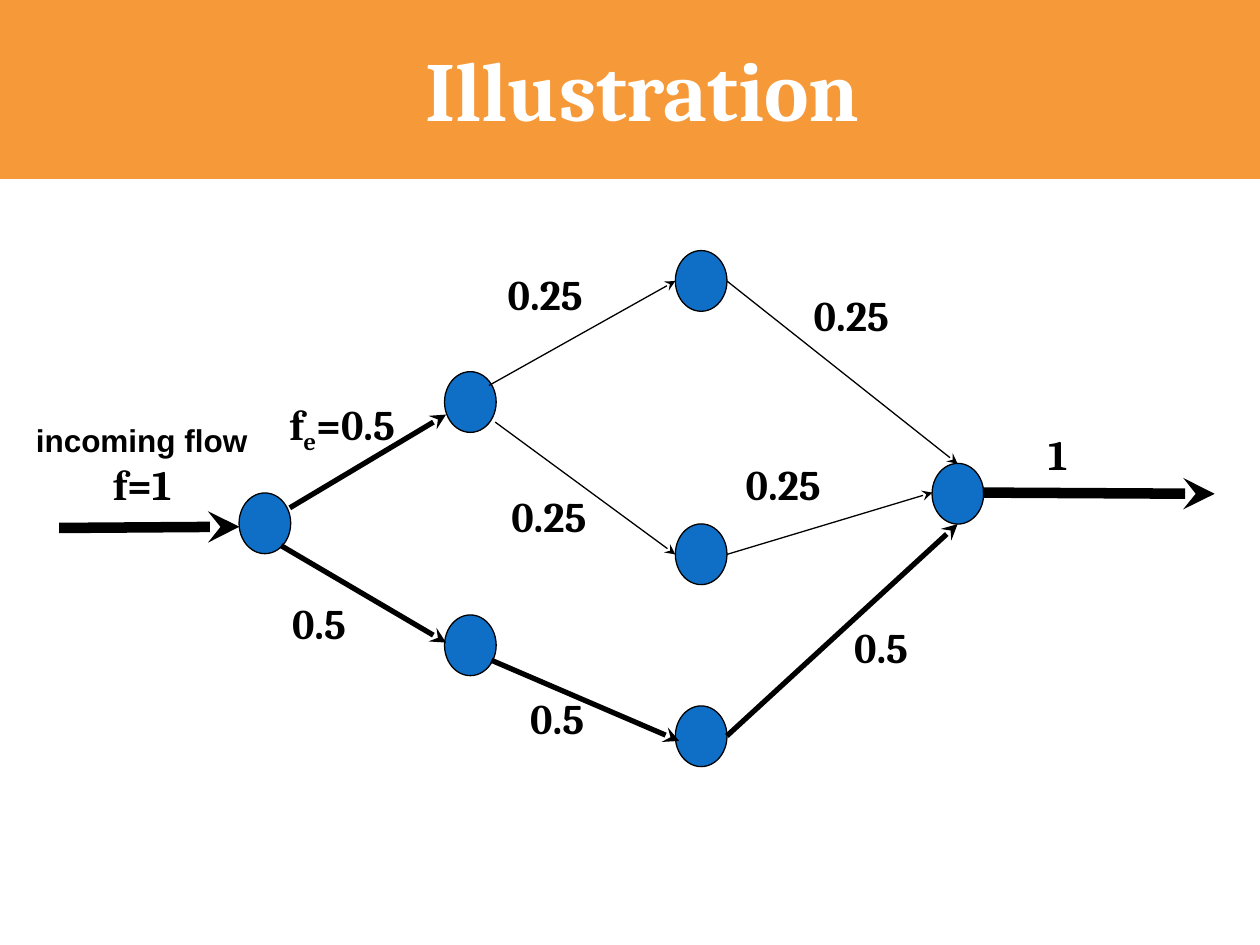
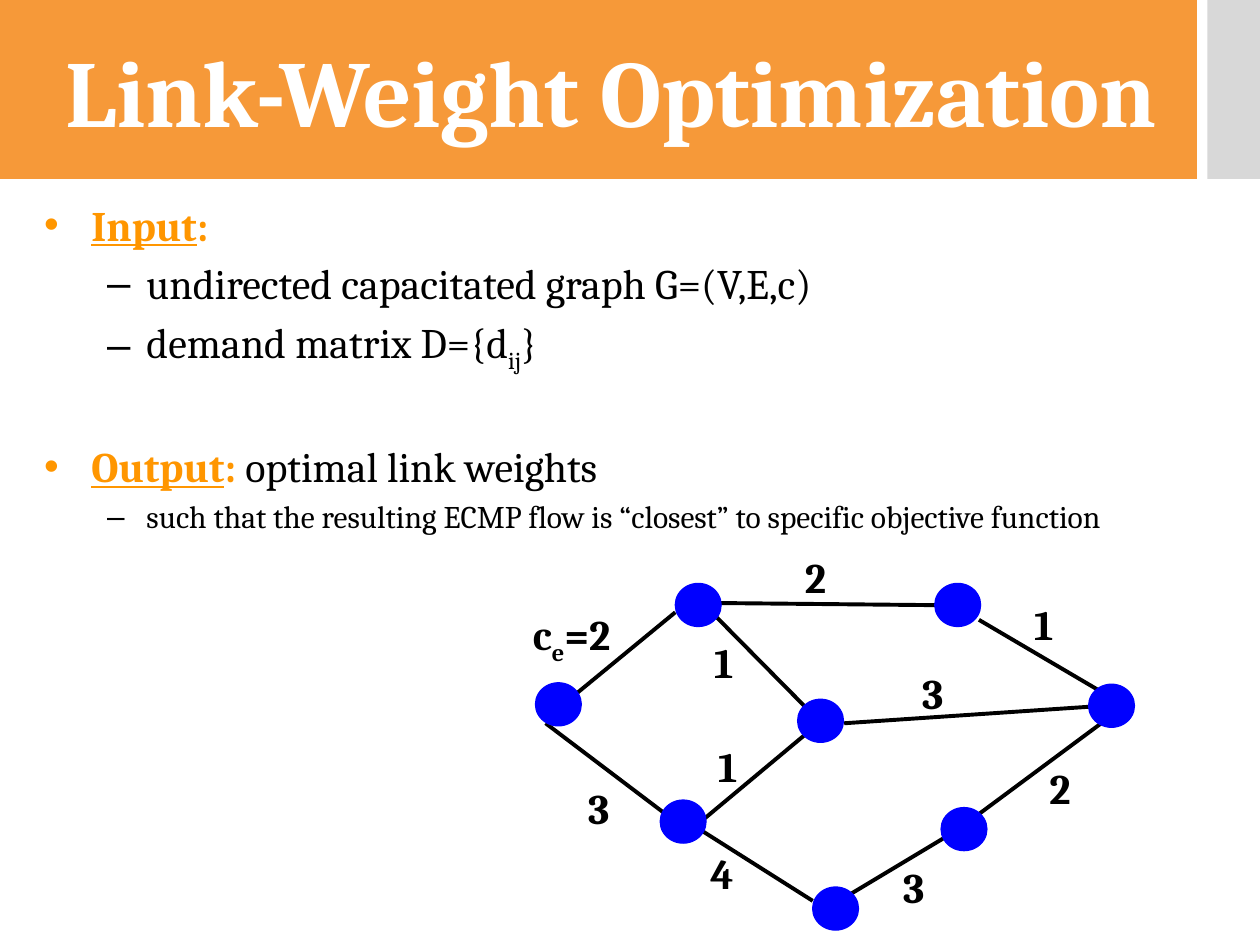
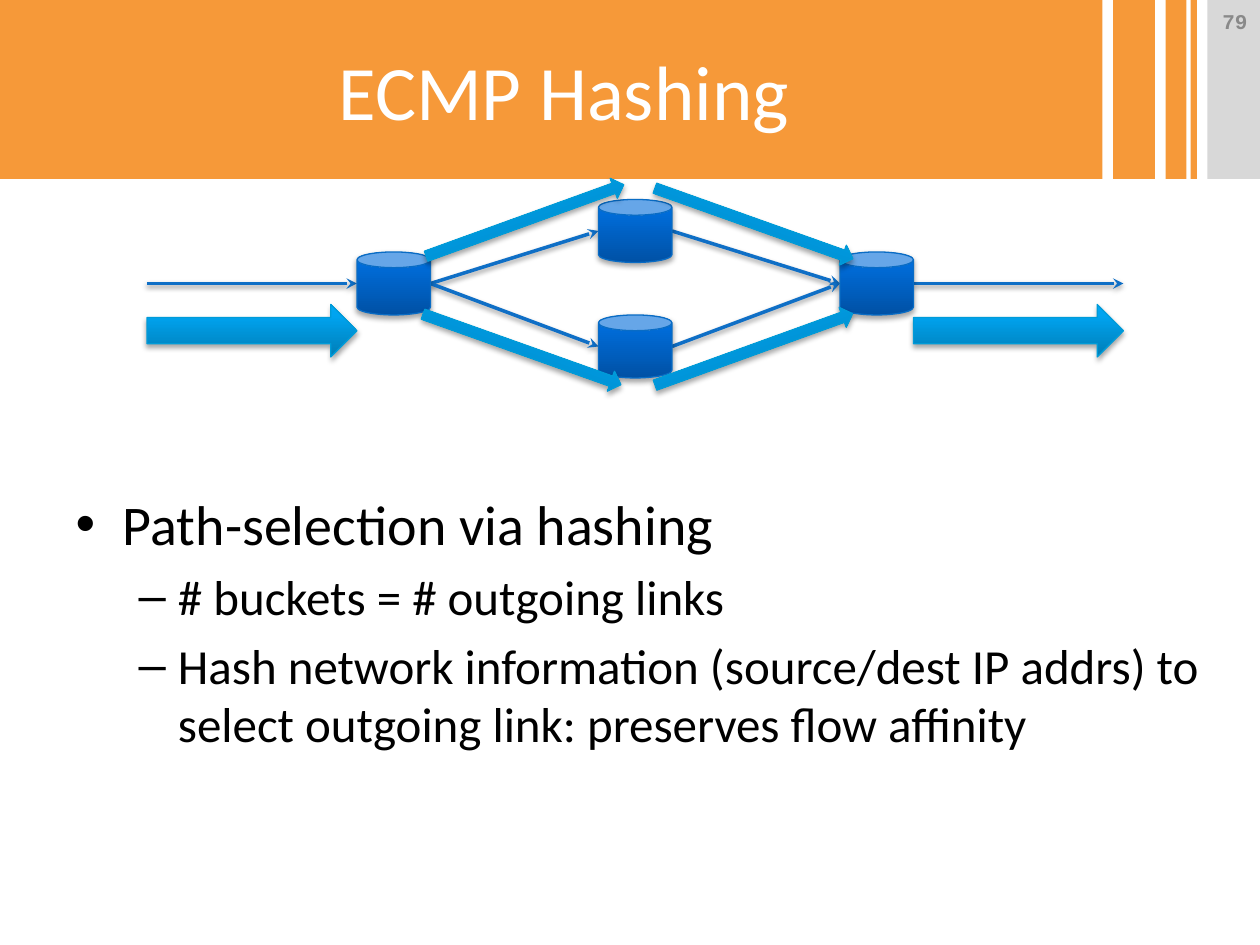
from copy import deepcopy
from typing import NamedTuple

from lxml import etree
from pptx import Presentation
from pptx.dml.color import RGBColor
from pptx.enum.shapes import MSO_CONNECTOR, MSO_SHAPE
from pptx.enum.text import MSO_ANCHOR, MSO_AUTO_SIZE, PP_ALIGN
from pptx.oxml.ns import qn
from pptx.util import Pt

STRAIGHT = MSO_CONNECTOR.STRAIGHT
RECTANGLE, OVAL = MSO_SHAPE.RECTANGLE, MSO_SHAPE.OVAL
CAN, RIGHT_ARROW = MSO_SHAPE.CAN, MSO_SHAPE.RIGHT_ARROW
LEFT, CENTER, RIGHT = PP_ALIGN.LEFT, PP_ALIGN.CENTER, PP_ALIGN.RIGHT
MIDDLE, TOP = MSO_ANCHOR.MIDDLE, MSO_ANCHOR.TOP
NO_AUTOFIT = MSO_AUTO_SIZE.NONE
CONTENT_LAYOUT, TITLE_LAYOUT = 1, 5

ORANGE, GRAY, WHITE, BLACK = "F69939", "D8D8D8", "FFFFFF", "000000"
HEADING, BLUE, NODE_BLUE, NUMBER_GRAY = "FF9600", "0F6FC6", "0000FF", "898989"
BAND_HEIGHT = 102.2


class Box(NamedTuple):
    left: float
    top: float
    width: float
    height: float


class TextStyle(NamedTuple):
    size: float
    font: str
    color: str = BLACK
    bold: bool = False


class Run(NamedTuple):
    text: str
    subscript: bool = False
    heading: bool = False
    underline: bool = False


class Item(NamedTuple):
    runs: list[Run]
    level: int
    style: TextStyle
    space_before: float = 0
    bullet_color: str = BLACK


class Label(NamedTuple):
    runs: list[Run]
    left: float
    top: float
    width: float


class Edge(NamedTuple):
    start_x: float
    start_y: float
    end_x: float
    end_y: float
    weight: float


class Band(NamedTuple):
    left: float
    width: float
    color: str


class Shadow(NamedTuple):
    opacity: int
    distance: float


class Bevel(NamedTuple):
    """Upward gradient with a thin outline."""
    stops: list[tuple[float, str]]
    outline: str


class FlowArrow(NamedTuple):
    box: Box
    rotation: float = 0


BANDS = [Band(636, 24, ORANGE), Band(666, 12, ORANGE),
         Band(680.4, 3.6, ORANGE), Band(690, 30, GRAY)]
LABEL_STYLE = TextStyle(24, "Cambria", BLACK, True)
SHAPE_SHADOW, LINE_SHADOW = Shadow(35, 1.8), Shadow(38, 1.6)
ROUTER_BEVEL = Bevel([(0, "0051A5"), (0.8, "006CD9"), (1, "006CDF")], "096CC5")
FLOW_BEVEL = Bevel([(0, "007DB6"), (0.8, "00A4F0"), (1, "00A8F6")], "009BD8")
# Bullet character, left margin and first-line indent by level
BULLETS = [("•", 27, -27), ("–", 58.5, -22.5)]


def rgb(color: str) -> RGBColor:
    return RGBColor.from_string(color)


def plain(text: str) -> list[Run]:
    return [Run(text)]


def with_subscript(before: str, subscript: str, after: str) -> list[Run]:
    return [Run(before), Run(subscript, subscript=True), Run(after)]


def place(shape, box: Box) -> None:
    shape.left, shape.top, shape.width, shape.height = map(Pt, box)


def write(paragraph, runs: list[Run], style: TextStyle) -> None:
    font = paragraph.font
    font.size, font.name, font.bold = Pt(style.size), style.font, style.bold
    font.color.rgb = rgb(style.color)
    for part in runs:
        run = paragraph.add_run()
        run.text = part.text
        if part.subscript:
            run._r.get_or_add_rPr().set("baseline", "-25000")
        if part.heading:
            run.font.bold = True
            run.font.color.rgb = rgb(HEADING)
        if part.underline:
            run.font.underline = True


def prepare_frame(frame, anchor, left_margin: float = 7.2) -> None:
    frame.word_wrap, frame.auto_size = True, NO_AUTOFIT
    frame.vertical_anchor = anchor
    frame.margin_left, frame.margin_right = Pt(left_margin), Pt(7.2)
    frame.margin_top = frame.margin_bottom = Pt(3.6)


def set_effects(shape, shadow: Shadow | None = None) -> None:
    """Replace the theme shadow; the line must already be set."""
    effects = etree.SubElement(shape._element.spPr, qn("a:effectLst"))
    if shadow:
        outer = etree.SubElement(
            effects, qn("a:outerShdw"), blurRad=str(Pt(3.1)),
            dist=str(Pt(shadow.distance)), dir="5400000", rotWithShape="0")
        color = etree.SubElement(outer, qn("a:srgbClr"), val=BLACK)
        etree.SubElement(color, qn("a:alpha"), val=str(shadow.opacity * 1000))


def add_filled(slide, kind, box: Box, color: str,
               outline: str | None = None, weight: float = 0.75):
    shape = slide.shapes.add_shape(kind, *map(Pt, box))
    shape.fill.solid()
    shape.fill.fore_color.rgb = rgb(color)
    if outline:
        shape.line.color.rgb = rgb(outline)
        shape.line.width = Pt(weight)
    else:
        shape.line.fill.background()
    set_effects(shape)
    return shape


def add_beveled(slide, kind, box: Box, bevel: Bevel, rotation: float = 0) -> None:
    shape = slide.shapes.add_shape(kind, *map(Pt, box))
    shape.rotation = rotation
    shape.fill.gradient()
    shape.fill.gradient_angle = 90
    stop_list = shape._element.spPr.find(".//" + qn("a:gsLst"))
    stop_list.append(deepcopy(stop_list[-1]))
    for stop, (position, color) in zip(shape.fill.gradient_stops, bevel.stops):
        stop.position = position
        stop.color.rgb = rgb(color)
    shape.line.color.rgb = rgb(bevel.outline)
    shape.line.width = Pt(0.75)
    set_effects(shape, SHAPE_SHADOW)


def add_edge(slide, edge: Edge, color: str = BLACK, arrow: bool = True,
             shadow: Shadow | None = None) -> None:
    connector = slide.shapes.add_connector(STRAIGHT, *map(Pt, edge[:4]))
    connector.line.color.rgb = rgb(color)
    connector.line.width = Pt(edge.weight)
    if arrow:
        etree.SubElement(connector.line._get_or_add_ln(), qn("a:tailEnd"), type="stealth")
    set_effects(connector, shadow)


def add_text(slide, box: Box, runs: list[Run], style: TextStyle,
             alignment=LEFT, anchor=TOP) -> None:
    frame = slide.shapes.add_textbox(*map(Pt, box)).text_frame
    prepare_frame(frame, anchor)
    frame.paragraphs[0].alignment = alignment
    write(frame.paragraphs[0], runs, style)


def add_labels(slide, labels: list[Label], height: float) -> None:
    for label in labels:
        box = Box(label.left, label.top, label.width, height)
        add_text(slide, box, label.runs, LABEL_STYLE)


def add_slide(presentation, layout: int, title: str, box: Box, style: TextStyle):
    """Add a slide with its title band and the bands right of it."""
    slide = presentation.slides.add_slide(presentation.slide_layouts[layout])
    shape = slide.shapes.title
    place(shape, box)
    shape.fill.solid()
    shape.fill.fore_color.rgb = rgb(ORANGE)
    prepare_frame(shape.text_frame, MIDDLE, left_margin=21.6)
    paragraph = shape.text_frame.paragraphs[0]
    paragraph.alignment = CENTER
    write(paragraph, plain(title), style)
    for band in BANDS:
        if band.left >= box.width:
            add_filled(slide, RECTANGLE, Box(band.left, 0, band.width, BAND_HEIGHT), band.color)
    return slide


def fill_body(slide, box: Box, items: list[Item]) -> None:
    body = slide.placeholders[1]
    place(body, box)
    frame = body.text_frame
    prepare_frame(frame, TOP)
    for index, item in enumerate(items):
        paragraph = frame.add_paragraph() if index else frame.paragraphs[0]
        paragraph.level = item.level
        character, margin, indent = BULLETS[item.level]
        properties = paragraph._p.get_or_add_pPr()
        properties.set("marL", str(Pt(margin)))
        properties.set("indent", str(Pt(indent)))
        bullet_color = etree.SubElement(properties, qn("a:buClr"))
        etree.SubElement(bullet_color, qn("a:srgbClr"), val=item.bullet_color)
        etree.SubElement(properties, qn("a:buChar"), char=character)
        paragraph.space_before = Pt(item.space_before)
        write(paragraph, item.runs, item.style)


def build_illustration(presentation) -> None:
    slide = add_slide(presentation, TITLE_LAYOUT, "Illustration", Box(0, -2.2, 720, 104.4),
                      TextStyle(48, "Cambria", WHITE, True))
    nodes = [(136.6, 281.7), (254, 212.4), (254, 351.4), (385.9, 143.2),
             (385.9, 299.4), (385.9, 403.4), (532.6, 264.8)]
    for left, top in nodes:
        add_filled(slide, OVAL, Box(left, top, 29.5, 34.7), BLUE, BLACK)
    edges = [
        Edge(165.6, 290.2, 254.9, 236.9, 3), Edge(160.6, 311.8, 254.9, 367.2, 3),
        Edge(279.4, 220.3, 385.9, 160.6, 0.75), Edge(283, 241.2, 385.9, 316.8, 0.75),
        Edge(280.8, 377.3, 388.1, 423.4, 3), Edge(415.4, 160.6, 547.2, 265, 0.75),
        Edge(415.4, 316.8, 532.8, 281.5, 0.75), Edge(415.4, 420.5, 547.2, 299.5, 3),
        Edge(33.8, 301.7, 136.8, 301, 6), Edge(561.6, 281.5, 694.1, 282.2, 6),
    ]
    for edge in edges:
        add_edge(slide, edge)
    add_labels(slide, [
        Label(with_subscript("f", "e", "=0.5"), 158.4, 223.9, 80.6),
        Label(plain("0.5"), 159.8, 337.7, 46.8),
        Label(plain("0.5"), 295.9, 392.4, 46.8),
        Label(plain("0.5"), 481, 351.4, 46.8),
        Label(plain("0.25"), 283, 149.8, 59.8),
        Label(plain("0.25"), 457.9, 162, 59.8),
        Label(plain("0.25"), 285.1, 276.5, 59.8),
        Label(plain("0.25"), 419, 258.5, 121),
        Label(plain("f=1"), 57.6, 258.5, 51.1),
        Label(plain("1"), 591.8, 241.2, 27.4),
    ], 36.7)
    add_text(slide, Box(12.2, 236.9, 137.5, 28.8), plain("incoming flow"),
             TextStyle(18, "Arial", BLACK, True), CENTER)


def build_link_weights(presentation) -> None:
    slide = add_slide(presentation, CONTENT_LAYOUT, "Link-Weight Optimization",
                      Box(0, 0, 684, BAND_HEIGHT), TextStyle(54, "Cambria", WHITE, True))
    large, small = TextStyle(24, "Cambria"), TextStyle(18, "Cambria")
    fill_body(slide, Box(18, 110.2, 648, 252), [
        Item([Run("Input", heading=True, underline=True), Run(":", heading=True)],
             0, large, 0, HEADING),
        Item(plain("undirected capacitated graph G=(V,E,c)"), 1, large, 4.8),
        Item(with_subscript("demand matrix D={d", "ij", "}"), 1, large, 4.8),
        Item([Run("Output", heading=True, underline=True), Run(": ", heading=True),
              Run("optimal link weights")], 0, large, 38, HEADING),
        Item(plain("such that the resulting ECMP flow is “closest” to specific objective function"),
             1, small, 3.6),
    ])
    links = [
        (325.4, 399.6, 385.9, 349.9), (408.2, 351.4, 460.1, 403.9),
        (399.6, 473.8, 464.4, 514.8), (486.7, 510.5, 540.7, 478.1),
        (482.4, 413.3, 622.1, 403.9), (409.7, 344.6, 534.2, 345.8),
        (559.4, 354.2, 629.3, 395.3), (311.8, 413.3, 385.9, 469.4),
        (390.2, 478.1, 464.4, 416.2), (553.7, 469.4, 629.3, 413.3),
    ]
    for link in links:
        add_edge(slide, Edge(*link, 2.25), arrow=False)
    nodes = [(534.2, 333.4), (377.3, 457.2), (385.9, 333.4), (455.8, 399.6),
             (464.4, 506.9), (622.1, 391), (537.8, 461.5), (306, 390.2)]
    for left, top in nodes:
        add_filled(slide, OVAL, Box(left, top, 26.2, 24.6), NODE_BLUE, NODE_BLUE)
    weights = [
        ("2", 452.9, 311.8), ("1", 403.2, 419.8), ("3", 519.8, 378),
        ("1", 583.9, 338.4), ("4", 398.9, 481), ("3", 509, 488.9),
        ("1", 401, 360), ("3", 329, 443.5), ("2", 592.6, 432),
    ]
    labels = [Label(plain(text), left, top, 27.4) for text, left, top in weights]
    labels.append(Label(with_subscript("c", "e", "=2"), 297.4, 344.2, 61.2))
    add_labels(slide, labels, 36)


def build_hashing(presentation) -> None:
    slide = add_slide(presentation, CONTENT_LAYOUT, "ECMP Hashing",
                      Box(0, 0, 630, BAND_HEIGHT), TextStyle(44, "Calibri", WHITE))
    detail = TextStyle(28, "Calibri")
    fill_body(slide, Box(36, 276, 666, 198), [
        Item(plain("Path-selection via hashing"), 0, TextStyle(32, "Calibri")),
        Item(plain("# buckets = # outgoing links"), 1, detail, 5.6),
        Item(plain("Hash network information (source/dest IP addrs) to select "
                   "outgoing link: preserves flow affinity"), 1, detail, 5.6),
    ])
    router_width, router_height = 42, 36
    ingress, egress, upper, lower = (204, 144), (480, 144), (342, 114), (342, 180)
    source, destination = (84 - router_width, 144), (642, 144)
    hops = [(source, ingress), (ingress, upper), (ingress, lower),
            (upper, egress), (lower, egress), (egress, destination)]
    for (from_left, from_top), (to_left, to_top) in hops:
        middle = router_height / 2
        edge = Edge(from_left + router_width, from_top + middle, to_left, to_top + middle, 2)
        add_edge(slide, edge, BLUE, shadow=LINE_SHADOW)
    for left, top in (ingress, egress, upper, lower):
        add_beveled(slide, CAN, Box(left, top, router_width, router_height), ROUTER_BEVEL)
    flow_arrows = [
        FlowArrow(Box(84, 174, 120, 30)),
        FlowArrow(Box(522, 174, 120, 30)),
        FlowArrow(Box(240, 120, 120, 12), 340.1),
        FlowArrow(Box(370.8, 193.7, 120, 12), 340.1),
        FlowArrow(Box(370.8, 121.7, 120, 12), 19.6),
        FlowArrow(Box(238.3, 193.7, 120, 12), 19.6),
    ]
    for arrow in flow_arrows:
        add_beveled(slide, RIGHT_ARROW, arrow.box, FLOW_BEVEL, arrow.rotation)
    add_text(slide, Box(547.2, -5.8, 172.8, 36), plain("79"),
             TextStyle(12, "Courier New", NUMBER_GRAY, True), RIGHT, MIDDLE)


def main() -> None:
    presentation = Presentation()
    presentation.slide_width, presentation.slide_height = Pt(720), Pt(540)
    build_illustration(presentation)
    build_link_weights(presentation)
    build_hashing(presentation)
    presentation.save("out.pptx")


if __name__ == "__main__":
    main()
